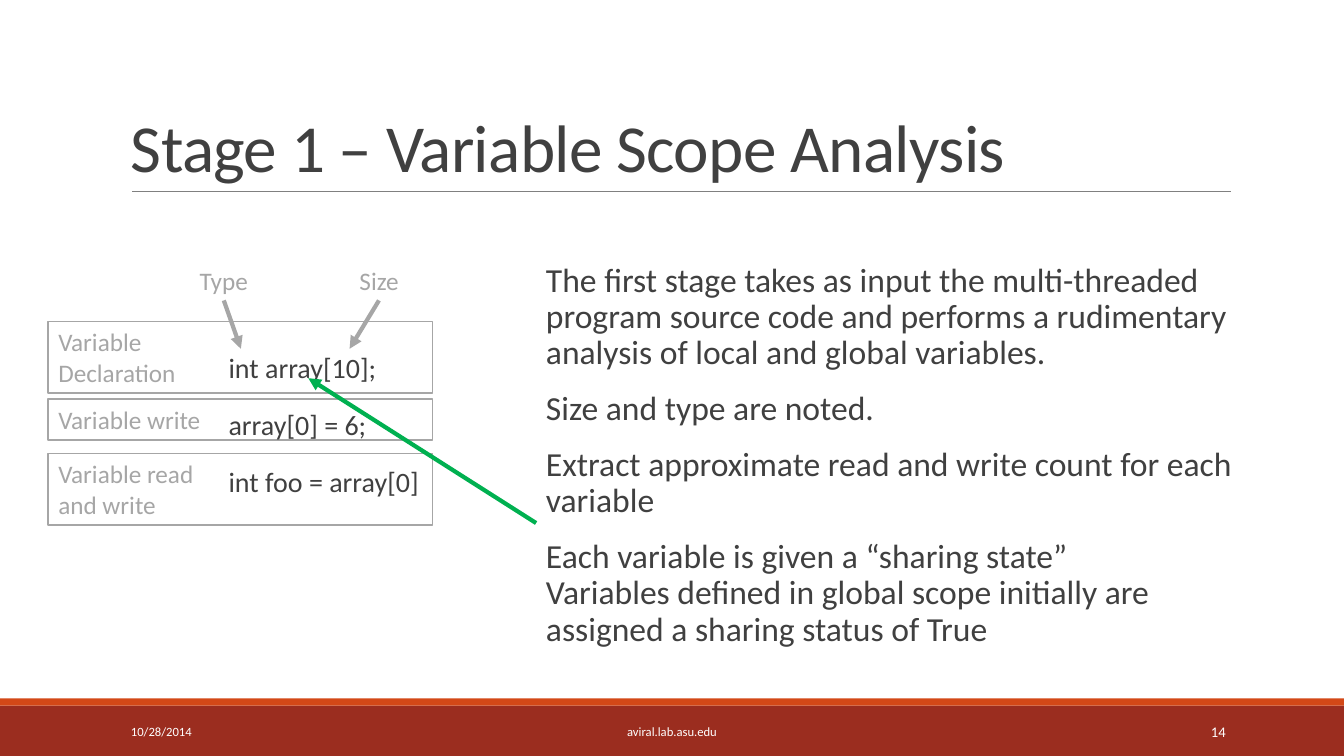
import pptx
import pptx.util
import pptx.dml.color
import pptx.enum.shapes
import pptx.enum.text
import pptx.oxml
import pptx.oxml.ns

Cm = pptx.util.Cm
Pt = pptx.util.Pt
ALIGN = pptx.enum.text.PP_ALIGN
ANCHOR = pptx.enum.text.MSO_ANCHOR

PAGE = (33.87, 19.05)
DARK, GREY, WHITE, GREEN = "404040", "A6A6A6", "FFFFFF", "00B050"

TITLE = "Stage 1 – Variable Scope Analysis"
POINTS = [
    "The first stage takes as input the multi-threaded program source code "
    "and performs a rudimentary analysis of local and global variables.",
    "Size and type are noted.",
    "Extract approximate read and write count for each variable",
    "Each variable is given a “sharing state”\v"
    "Variables defined in global scope initially are assigned a sharing status of True",
]
CODE = ["int array[10];", "array[0] = 6;", "int foo = array[0]"]
BARS = [(17.78, 1.27, "9B2D1F"), (17.6, 0.18, "D34817")]
FRAMES = [
    (8.1, ["Variable", "Declaration"]),
    (10.06, ["Variable write"]),
    (11.43, ["Variable read", "and write"]),
]
LABELS = [("Type", 4.78, 1.75), ("Size", 8.81, 1.52)]
LINES = [
    ((3.33, 4.83), (31.01, 4.83), "808080", 0.5, False),
    ((5.64, 7.57), (6.07, 8.79), GREY, 3, True),
    ((9.55, 7.57), (8.81, 8.79), GREY, 3, True),
    ((13.51, 13.18), (7.77, 9.53), GREEN, 3, True),
]
FOOTERS = [
    ("10/28/2014", 3.05, 6.86, 9, ALIGN.LEFT),
    ("aviral.lab.asu.edu", 10.24, 13.39, 9, ALIGN.CENTER),
    ("14", 27.51, 3.63, 10.5, ALIGN.RIGHT),
]


def color(value):
    return pptx.dml.color.RGBColor.from_string(value)


def assign(target, values):
    for name, value in values.items():
        setattr(target, name, value)


def write(shape, lines, size, ink, layout=None, anchor=ANCHOR.TOP, margin=0.25, wrap=True):
    frame = shape.text_frame
    assign(frame, {
        "word_wrap": wrap, "vertical_anchor": anchor,
        "margin_left": Cm(margin), "margin_right": Cm(margin),
        "margin_top": Cm(0.13), "margin_bottom": Cm(0.13),
    })
    for index, line in enumerate(lines):
        para = frame.paragraphs[0] if index == 0 else frame.add_paragraph()
        para.text = line
        assign(para, {"alignment": ALIGN.LEFT, **(layout or {})})
        if index == 0:
            para.space_before = Pt(0)
        for span in para.runs:
            assign(span.font, {"name": "Calibri", "size": Pt(size)})
            span.font.color.rgb = color(ink)
    return frame


def add_box(page, left, top, width, height):
    return page.shapes.add_textbox(Cm(left), Cm(top), Cm(width), Cm(height))


def add_rectangle(page, left, top, width, height, fill, outline=None):
    shape = page.shapes.add_shape(
        pptx.enum.shapes.MSO_SHAPE.RECTANGLE, Cm(left), Cm(top), Cm(width), Cm(height))
    shape.shadow.inherit = False
    shape.fill.solid()
    shape.fill.fore_color.rgb = color(fill)
    if outline:
        shape.line.color.rgb = color(outline)
        shape.line.width = Pt(1.25)
    else:
        shape.line.fill.background()
    return shape


def add_line(page, start, end, ink, width, arrow):
    line = page.shapes.add_connector(
        pptx.enum.shapes.MSO_CONNECTOR.STRAIGHT, *[Cm(value) for value in start + end])
    line.line.color.rgb = color(ink)
    line.line.width = Pt(width)
    if arrow:
        head = pptx.oxml.parse_xml(
            f'<a:tailEnd {pptx.oxml.ns.nsdecls("a")} type="triangle"/>')
        line.line._get_or_add_ln().append(head)
    line._element.spPr.append(
        pptx.oxml.parse_xml(f'<a:effectLst {pptx.oxml.ns.nsdecls("a")}/>'))


def main():
    deck = pptx.Presentation()
    assign(deck, {"slide_width": Cm(PAGE[0]), "slide_height": Cm(PAGE[1])})
    page = deck.slides.add_slide(deck.slide_layouts[6])

    for top, height, fill in BARS:
        add_rectangle(page, 0, top, PAGE[0], height, fill)
    for top, lines in FRAMES:
        height = 0.24 + 0.78 * len(lines)
        write(add_rectangle(page, 1.22, top, 9.68, height, WHITE, GREY), lines, 18, GREY)

    title = write(add_box(page, 3.05, 0.79, 27.94, 4.04), [TITLE], 48, DARK,
                  {"line_spacing": 0.85}, ANCHOR.BOTTOM)
    title.paragraphs[0].runs[0]._r.get_or_add_rPr().set("spc", "-50")

    write(add_box(page, 5.56, 8.1, 5.33, 5.41), CODE, 20, DARK,
          {"line_spacing": 1.7}, margin=0.2)
    write(add_box(page, 13.51, 6.5, 17.9, 9.75), POINTS, 24, DARK,
          {"line_spacing": 0.9, "space_before": Pt(12), "space_after": Pt(2)})

    for text, left, width, size, alignment in FOOTERS:
        write(add_box(page, left, 17.93, width, 1.02), [text], size, WHITE,
              {"alignment": alignment}, ANCHOR.MIDDLE)
    for text, left, width in LABELS:
        write(add_box(page, left, 6.55, width, 1.02), [text], 18, GREY, wrap=False)
    for line in LINES:
        add_line(page, *line)

    deck.save("out.pptx")


if __name__ == "__main__":
    main()
